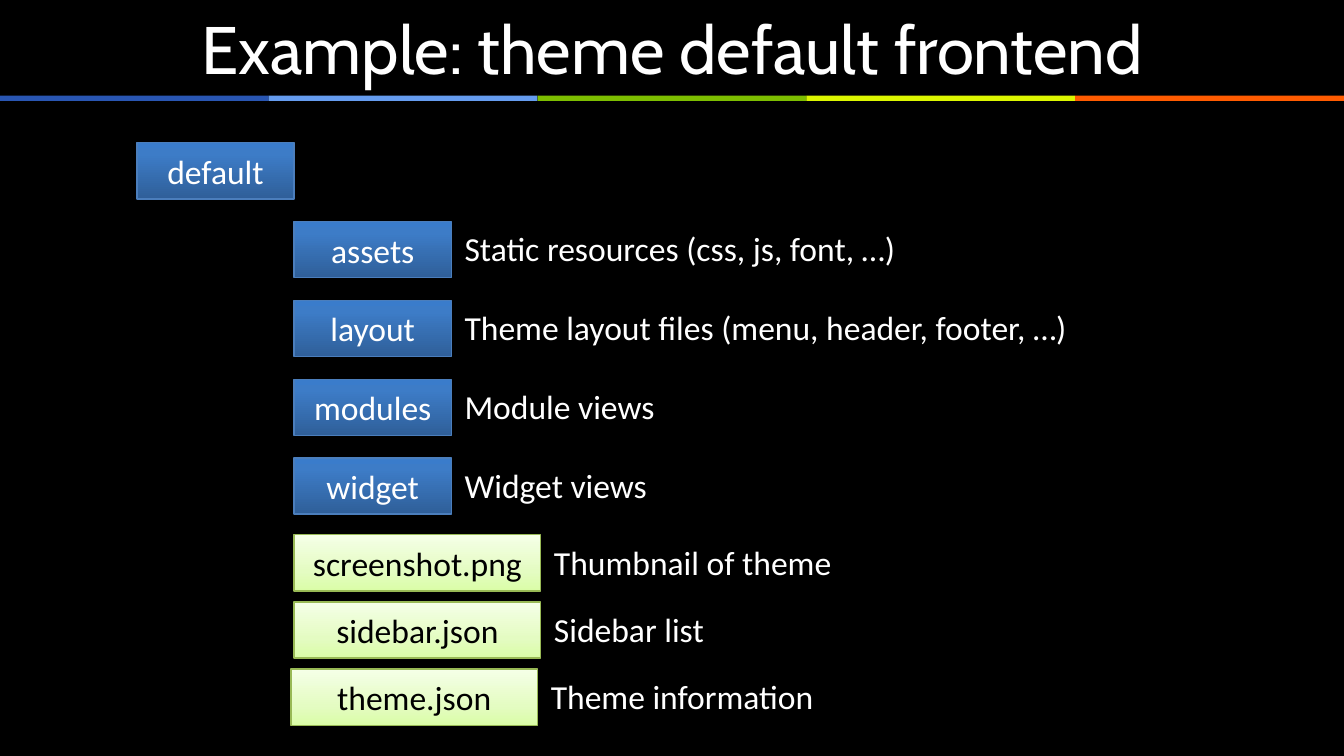
from copy import deepcopy

from pptx import Presentation
from pptx.dml.color import RGBColor
from pptx.enum.shapes import MSO_SHAPE
from pptx.enum.text import MSO_ANCHOR, MSO_AUTO_SIZE, PP_ALIGN
from pptx.oxml.ns import qn
from pptx.util import Cm, Pt

COLORS = {
    "background": "000000",
    "light": "FFFFFF",
    "dark": "000000",
    "folder_line": "4B7EBC",
    "file_line": "98B955",
}
STRIPES = ["2956B2", "659CEF", "7DBD00", "DCF600", "FF5B00"]
GRADIENTS = {
    "folder": [(0, "2F5F99"), (0.8, "3D7CC7"), (1, "3A7CCB")],
    "file": [(0, "DAFDA7"), (0.35, "E4FCC2"), (1, "F5FFE7")],
}
WIDTHS = {"folder": 2.97, "file": 4.66}
BOX_HEIGHT = 1.06
ROOT_LEFT, ROOT_TOP = 2.59, 2.7
CHILD_LEFT = ROOT_LEFT + WIDTHS["folder"]
FOLDER_STEP, FILE_STEP = 1.49, 1.27

FOLDERS = [
    ("assets", "Static resources (css, js, font, …)", 12.7),
    ("layout", "Theme layout files (menu, header, footer, …)", 13.28),
    ("modules", "Module views", 12.27),
    ("widget", "Widget views", 4.01),
]
FILES = [
    ("screenshot.png", "Thumbnail of theme", 5.82, 0),
    ("sidebar.json", "Sidebar list", 3.4, 0),
    ("theme.json", "Theme information", 5.56, -0.06),
]


def rgb(name):
    return RGBColor.from_string(COLORS.get(name, name))


class ThemeSlide:
    title_font = "Cabin"
    body_font = "Calibri"
    body_size = 18

    def __init__(self, presentation):
        self.slide = presentation.slides.add_slide(presentation.slide_layouts[5])
        background = self.slide.background.fill
        background.solid()
        background.fore_color.rgb = rgb("background")

    def set_text(self, frame, text, color, align, font=body_font, size=body_size):
        frame.text = text
        frame.word_wrap = True
        paragraph = frame.paragraphs[0]
        paragraph.alignment = align
        paragraph.font.name = font
        paragraph.font.size = Pt(size)
        paragraph.font.color.rgb = rgb(color)

    def title(self, text):
        heading = self.slide.shapes.title
        heading.left, heading.top = Cm(0.64), Cm(0.15)
        heading.width, heading.height = Cm(24.13), Cm(1.5)
        frame = heading.text_frame
        frame.auto_size = MSO_AUTO_SIZE.NONE
        frame.vertical_anchor = MSO_ANCHOR.MIDDLE
        self.set_text(frame, text, "light", PP_ALIGN.CENTER, self.title_font, 36)

    def rectangle(self, left, top, width, height):
        shape = self.slide.shapes.add_shape(
            MSO_SHAPE.RECTANGLE, Cm(left), Cm(top), Cm(width), Cm(height))
        shape.shadow.inherit = False
        return shape

    def stripe(self, left, width, color):
        band = self.rectangle(left, 1.81, width, 0.1)
        band.fill.solid()
        band.fill.fore_color.rgb = rgb(color)
        band.line.fill.background()

    def entry(self, kind, name, left, top):
        box = self.rectangle(left, top, WIDTHS[kind], BOX_HEIGHT)
        box.fill.gradient()
        box.fill.gradient_angle = 90
        stop_list = box.element.spPr.find(qn("a:gradFill")).find(qn("a:gsLst"))
        stop_list.append(deepcopy(stop_list[0]))
        for stop, (position, color) in zip(box.fill.gradient_stops, GRADIENTS[kind]):
            stop.position = position
            stop.color.rgb = rgb(color)
        box.line.color.rgb = rgb(f"{kind}_line")
        box.line.width = Pt(0.75)
        frame = box.text_frame
        frame.vertical_anchor = MSO_ANCHOR.MIDDLE
        self.set_text(frame, name, "light" if kind == "folder" else "dark", PP_ALIGN.CENTER)

    def description(self, text, left, top, width):
        note = self.slide.shapes.add_textbox(Cm(left), Cm(top), Cm(width), Cm(1.03))
        note.text_frame.auto_size = MSO_AUTO_SIZE.SHAPE_TO_FIT_TEXT
        self.set_text(note.text_frame, text, "light", PP_ALIGN.LEFT)

    def described_entry(self, kind, name, text, left, top, text_width):
        self.entry(kind, name, left, top)
        self.description(text, left + WIDTHS[kind], top, text_width)


def main():
    presentation = Presentation()
    presentation.slide_width, presentation.slide_height = Cm(25.4), Cm(14.29)
    page = ThemeSlide(presentation)

    stripe_width = 25.4 / len(STRIPES)
    for index, color in enumerate(STRIPES):
        page.stripe(index * stripe_width, stripe_width, color)
    page.title("Example: theme default frontend")

    page.entry("folder", "default", ROOT_LEFT, ROOT_TOP)
    for row, (name, text, text_width) in enumerate(FOLDERS, start=1):
        top = ROOT_TOP + row * FOLDER_STEP
        page.described_entry("folder", name, text, CHILD_LEFT, top, text_width)

    files_top = ROOT_TOP + (len(FOLDERS) + 1) * FOLDER_STEP - 0.04
    for row, (name, text, text_width, shift) in enumerate(FILES):
        top = files_top + row * FILE_STEP
        page.described_entry("file", name, text, CHILD_LEFT + shift, top, text_width)

    presentation.save("out.pptx")


if __name__ == "__main__":
    main()
